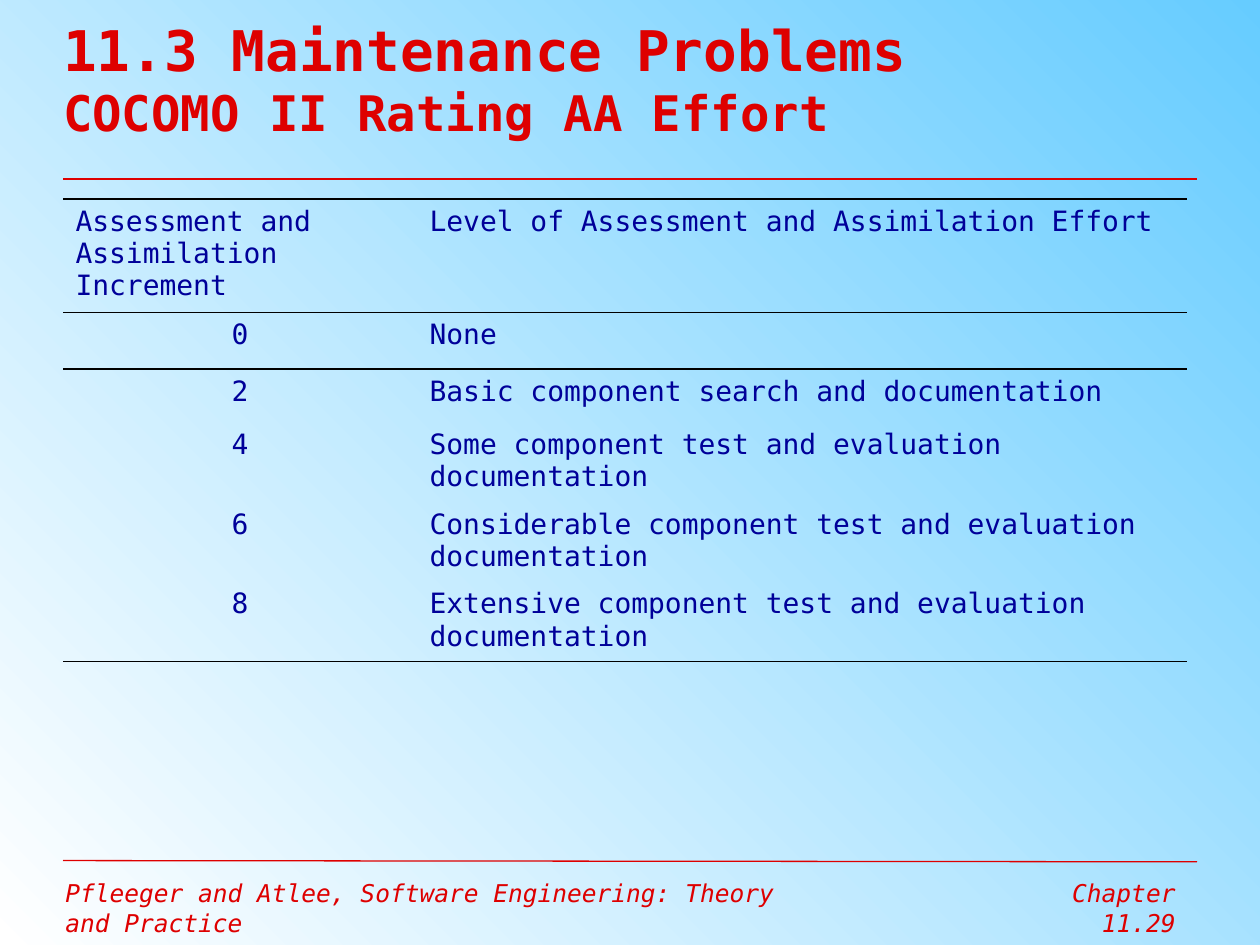
"""Builds the slide on the COCOMO II rating of assessment and assimilation effort."""
from dataclasses import dataclass

from lxml.etree import SubElement
from pptx import Presentation
from pptx.dml.color import RGBColor
from pptx.enum.shapes import MSO_CONNECTOR
from pptx.enum.text import MSO_ANCHOR, MSO_AUTO_SIZE, PP_ALIGN
from pptx.oxml import parse_xml
from pptx.oxml.ns import nsdecls, qn
from pptx.slide import Slide
from pptx.table import Table, _Cell
from pptx.text.text import TextFrame
from pptx.util import Inches, Length, Pt


@dataclass(frozen=True)
class Theme:
    """Colours, typeface and type sizes of the slide."""

    red: str = "DE0000"
    navy: str = "000099"
    black: str = "000000"
    background: tuple[str, str] = ("FFFFFF", "66CCFF")
    typeface: str = "DejaVu Sans Mono"
    title: float = 32
    subtitle: float = 28
    body: float = 16
    footer: float = 14
    border: float = 1.08
    no_grid_style: str = "{2D5ABB26-0587-4C30-8999-92F81FD0307C}"


@dataclass(frozen=True)
class Grid:
    """A grid of square units over the whole slide."""

    columns: int = 100
    rows: int = 75
    unit: float = 0.1

    def length(self, units: float) -> Length:
        """Turn grid units into a length."""
        return Inches(units * self.unit)


@dataclass(frozen=True)
class Box:
    """A rectangle in grid columns and rows."""

    left: float
    top: float
    width: float
    height: float

    def lengths(self) -> list[Length]:
        """Give the four measures as lengths."""
        return [GRID.length(units) for units in (self.left, self.top, self.width, self.height)]


@dataclass(frozen=True)
class Footer:
    """A note at the bottom of the slide."""

    text: str
    box: Box
    alignment: PP_ALIGN


@dataclass(frozen=True)
class Rule:
    """A line across the slide, from one row to another."""

    start_row: float
    end_row: float
    weight: float


@dataclass(frozen=True)
class Rating:
    """A row of the rating table."""

    increment: str
    effort: str
    height: float
    alignment: PP_ALIGN = PP_ALIGN.CENTER
    borders: tuple[str, ...] = ()


THEME = Theme()
GRID = Grid()
MARGIN = 5
TITLE_BOX = Box(MARGIN, 0, 89.9, 12.4)
TITLE_LINES = (
    ("11.3 Maintenance Problems", THEME.title),
    ("COCOMO II Rating AA Effort", THEME.subtitle),
)
RULES = (Rule(14.2, 14.2, 1.5), Rule(68.3, 68.4, 0.75))
FOOTERS = (
    Footer("Pfleeger and Atlee, Software Engineering: Theory and Practice",
           Box(4.2, 69.2, 60, 3.4), PP_ALIGN.LEFT),
    Footer("Chapter 11.29", Box(78.3, 69.2, 16, 3.7), PP_ALIGN.RIGHT),
)
TABLE_TOP = 15.8
TABLE_COLUMNS = (28.1, 61.1)
RATINGS = (
    Rating("Assessment and Assimilation Increment",
           "Level of Assessment and Assimilation Effort", 7.1, PP_ALIGN.LEFT, ("T", "B")),
    Rating("0", "None", 4.5, borders=("T",)),
    Rating("2", "Basic component search and documentation", 4.2),
    Rating("4", "Some component test and evaluation documentation", 4.2),
    Rating("6", "Considerable component test and evaluation documentation", 6.3),
    Rating("8", "Extensive component test and evaluation documentation", 6.3, borders=("B",)),
)


def apply_format(target: object, values: dict[str, object]) -> None:
    """Set each named attribute of the target."""
    for name, value in values.items():
        setattr(target, name, value)


def write_lines(frame: TextFrame, lines: tuple[tuple[str, float], ...], colour: str,
                paragraph_format: dict[str, object], font_format: dict[str, object]) -> None:
    """Write sized lines into the first paragraph of a text frame."""
    paragraph = frame.paragraphs[0]
    apply_format(paragraph, paragraph_format)
    for index, (text, size) in enumerate(lines):
        if index:
            paragraph.add_line_break()
        run = paragraph.add_run()
        run.text = text
        apply_format(run.font, {"name": THEME.typeface, "size": Pt(size), **font_format})
        run.font.color.rgb = RGBColor.from_string(colour)


def paint_background(slide: Slide) -> None:
    """Fill the background with a gradient rising to the top right."""
    fill = slide.background.fill
    fill.gradient()
    fill.gradient_angle = 45
    for stop, colour in zip(fill.gradient_stops, THEME.background):
        stop.color.rgb = RGBColor.from_string(colour)


def draw_title(slide: Slide) -> None:
    """Draw the two-line title."""
    frame = slide.shapes.add_textbox(*TITLE_BOX.lengths()).text_frame
    margins = dict.fromkeys(("margin_left", "margin_top", "margin_right", "margin_bottom"), 0)
    apply_format(frame, {"word_wrap": True, "vertical_anchor": MSO_ANCHOR.MIDDLE, **margins})
    write_lines(frame, TITLE_LINES, THEME.red, {"alignment": PP_ALIGN.LEFT}, {"bold": True})


def draw_footer(slide: Slide, footer: Footer) -> None:
    """Draw one footer note."""
    frame = slide.shapes.add_textbox(*footer.box.lengths()).text_frame
    apply_format(frame, {"word_wrap": True, "auto_size": MSO_AUTO_SIZE.SHAPE_TO_FIT_TEXT})
    write_lines(frame, ((footer.text, THEME.footer),), THEME.red,
                {"alignment": footer.alignment}, {"italic": True})


def draw_rule(slide: Slide, rule: Rule) -> None:
    """Draw a line between the side margins."""
    ends = (MARGIN, rule.start_row, GRID.columns - MARGIN, rule.end_row)
    connector = slide.shapes.add_connector(MSO_CONNECTOR.STRAIGHT, *map(GRID.length, ends))
    connector.line.color.rgb = RGBColor.from_string(THEME.red)
    connector.line.width = Pt(rule.weight)
    SubElement(connector._element.spPr, qn("a:effectLst"))


def draw_borders(cell: _Cell, sides: tuple[str, ...]) -> None:
    """Draw the given sides of a cell, in schema order ahead of its fill."""
    properties = cell._tc.get_or_add_tcPr()
    for index, side in enumerate(sides):
        properties.insert(index, parse_xml(
            f'<a:ln{side} {nsdecls("a")} w="{Pt(THEME.border)}"><a:solidFill>'
            f'<a:srgbClr val="{THEME.black}"/></a:solidFill></a:ln{side}>'))


def fill_row(table: Table, index: int, rating: Rating) -> None:
    """Write one rating into its table row."""
    table.rows[index].height = GRID.length(rating.height)
    entries = ((rating.increment, rating.alignment), (rating.effort, PP_ALIGN.LEFT))
    for column, (text, alignment) in enumerate(entries):
        cell = table.cell(index, column)
        cell.fill.background()
        draw_borders(cell, rating.borders)
        write_lines(cell.text_frame, ((text, THEME.body),), THEME.navy,
                    {"alignment": alignment, "space_before": Pt(7)}, {"bold": False})


def draw_table(slide: Slide) -> None:
    """Draw the rating table."""
    box = Box(MARGIN, TABLE_TOP, sum(TABLE_COLUMNS), sum(rating.height for rating in RATINGS))
    table = slide.shapes.add_table(len(RATINGS), len(TABLE_COLUMNS), *box.lengths()).table
    apply_format(table, {"first_row": False, "horz_banding": False})
    table._tbl.tblPr.find(qn("a:tableStyleId")).text = THEME.no_grid_style
    for column, width in zip(table.columns, TABLE_COLUMNS):
        column.width = GRID.length(width)
    for index, rating in enumerate(RATINGS):
        fill_row(table, index, rating)


def main() -> None:
    """Build and save the presentation."""
    presentation = Presentation()
    apply_format(presentation, {"slide_width": GRID.length(GRID.columns),
                                "slide_height": GRID.length(GRID.rows)})
    slide = presentation.slides.add_slide(presentation.slide_layouts[6])
    paint_background(slide)
    for footer in FOOTERS:
        draw_footer(slide, footer)
    for rule in RULES:
        draw_rule(slide, rule)
    draw_title(slide)
    draw_table(slide)
    presentation.save("out.pptx")


if __name__ == "__main__":
    main()
